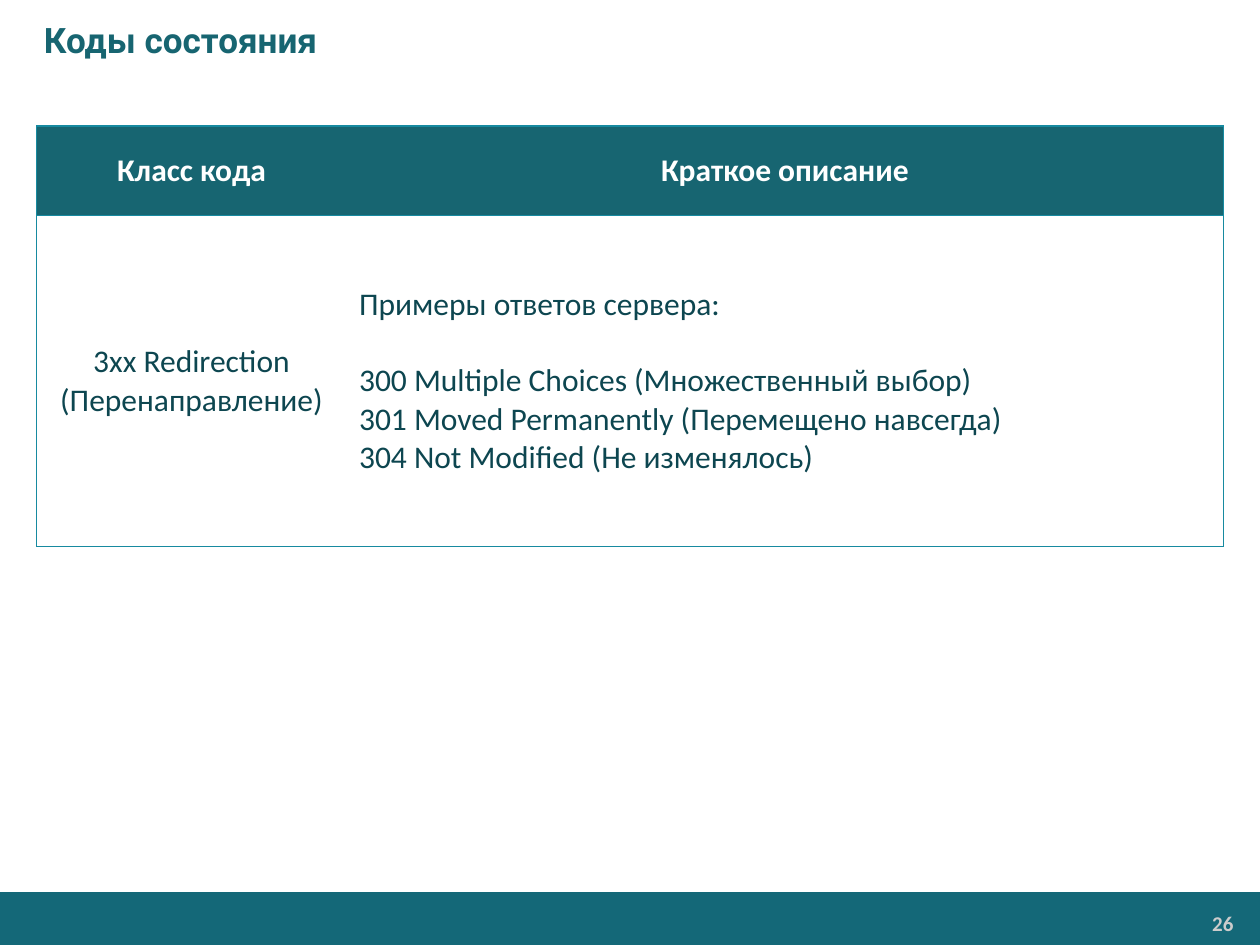
from lxml.etree import SubElement
from pptx import Presentation
from pptx.dml.color import RGBColor
from pptx.enum.shapes import MSO_SHAPE
from pptx.enum.text import MSO_ANCHOR, PP_ALIGN
from pptx.oxml import parse_xml
from pptx.oxml.ns import nsdecls, qn
from pptx.util import Inches, Pt

COLORS = {
    "footer": "146878",
    "heading": "176571",
    "border": "178AA0",
    "body": "0D4650",
    "number": "CCCCCC",
    "white": "FFFFFF",
}


def rgb(name):
    return RGBColor.from_string(COLORS[name])


def write(tf, text, size=18, font="Calibri", color="body", bold=False,
          align=PP_ALIGN.LEFT, indent=0, gap_after_first=0):
    """Write one paragraph per line; gap_after_first (pt) sets off the first."""
    for i, line in enumerate(text.split("\n")):
        p = tf.paragraphs[0] if i == 0 else tf.add_paragraph()
        p.alignment = align
        if indent:
            p._p.get_or_add_pPr().set("marL", str(Inches(indent)))
        if i == 1 and gap_after_first:
            p.space_before = Pt(gap_after_first)
        r = p.add_run()
        r.text = line
        r.font.size = Pt(size)
        r.font.name = font
        r.font.bold = bold
        r.font.color.rgb = rgb(color)


class SlideBuilder:
    """Holds the current slide and the style of its elements."""

    border_width = 0.75

    def __init__(self, prs):
        self.slide = prs.slides.add_slide(prs.slide_layouts[6])

    def bar(self, x, y, w, h, color):
        sp = self.slide.shapes.add_shape(
            MSO_SHAPE.RECTANGLE, Inches(x), Inches(y), Inches(w), Inches(h))
        sp.shadow.inherit = False
        sp.fill.solid()
        sp.fill.fore_color.rgb = rgb(color)
        sp.line.fill.background()

    def text(self, x, y, w, h, text, insets=(0.1, 0.05),
             anchor=MSO_ANCHOR.TOP, **fmt):
        sp = self.slide.shapes.add_textbox(
            Inches(x), Inches(y), Inches(w), Inches(h))
        tf = sp.text_frame
        tf.word_wrap = True
        tf.vertical_anchor = anchor
        tf.margin_left = tf.margin_right = Inches(insets[0])
        tf.margin_top = tf.margin_bottom = Inches(insets[1])
        write(tf, text, **fmt)

    def borders(self, cell, sides):
        """Draw the given sides (of L, R, T, B) and hide the others."""
        tcPr = cell._tc.get_or_add_tcPr()
        for i, side in enumerate("LRTB"):
            ln = parse_xml(f'<a:ln{side} {nsdecls("a")}/>')
            ln.set("w", str(Pt(self.border_width)))
            if side in sides:
                fill = SubElement(ln, qn("a:solidFill"))
                SubElement(fill, qn("a:srgbClr")).set("val", COLORS["border"])
            else:
                SubElement(ln, qn("a:noFill"))
            tcPr.insert(i, ln)

    def table(self, x, y, widths, heights, rows):
        """Fill a table from rows of (text, format) pairs; the first row is the header."""
        table = self.slide.shapes.add_table(
            len(heights), len(widths), Inches(x), Inches(y),
            Inches(sum(widths)), Inches(sum(heights))).table
        table.first_row = table.horz_banding = False
        for col, w in zip(table.columns, widths):
            col.width = Inches(w)
        for i, (row, h) in enumerate(zip(table.rows, heights)):
            row.height = Inches(h)
            for j, (text, fmt) in enumerate(rows[i]):
                cell = row.cells[j]
                cell.vertical_anchor = MSO_ANCHOR.MIDDLE
                if i == 0:
                    cell.fill.solid()
                    cell.fill.fore_color.rgb = rgb("heading")
                else:
                    cell.fill.background()
                outer = ("L" if j == 0 else "") + ("R" if j == len(widths) - 1 else "")
                self.borders(cell, "TB" + outer)
                write(cell.text_frame, text, **fmt)


def main():
    prs = Presentation()
    prs.slide_width, prs.slide_height = Inches(10), Inches(7.5)
    s = SlideBuilder(prs)

    s.bar(0, 7.08, 10.01, 0.43, "footer")
    s.text(8.23, 7.19, 1.63, 0.28, "26", insets=(0.07, 0.04), size=12,
           color="number", bold=True, align=PP_ALIGN.RIGHT)
    s.text(0, 0, 10, 0.63, "Коды состояния", anchor=MSO_ANCHOR.MIDDLE,
           size=20, font="Roboto", color="heading", bold=True, indent=0.25)

    header = dict(color="white", bold=True, align=PP_ALIGN.CENTER)
    examples = ("Примеры ответов сервера:\n"
                "300 Multiple Choices (Множественный выбор)\n"
                "301 Moved Permanently (Перемещено навсегда)\n"
                "304 Not Modified (Не изменялось)")
    s.table(0.29, 1, (2.46, 6.96), (0.71, 2.63), [
        [("Класс кода", header), ("Краткое описание", header)],
        [("3xx Redirection (Перенаправление)", dict(align=PP_ALIGN.CENTER)),
         (examples, dict(align=PP_ALIGN.JUSTIFY, gap_after_first=22))],
    ])
    prs.save("out.pptx")


if __name__ == "__main__":
    main()
